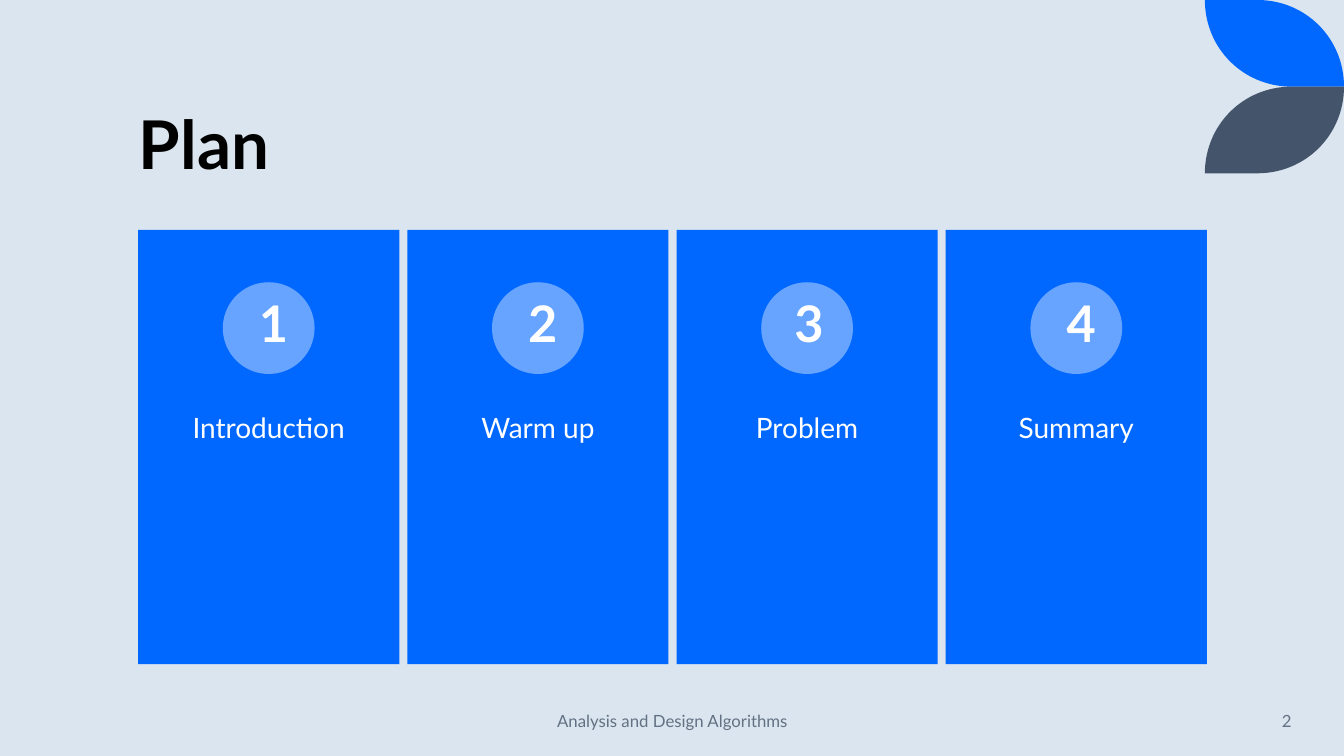
from dataclasses import dataclass

from pptx import Presentation
from pptx.dml.color import RGBColor
from pptx.enum import shapes, text
from pptx.oxml import xmlchemy
from pptx.util import Inches, Pt


@dataclass(frozen=True)
class Theme:
    font: str = "Lato"
    background: str = "DAE5EF"
    blue: str = "0068FF"
    light_blue: str = "66A4FF"
    slate: str = "44546A"
    black: str = "000000"
    white: str = "FFFFFF"
    muted: str = "637183"
    title_size: int = 48
    number_size: int = 36
    topic_size: int = 20
    footer_size: int = 12


THEME = Theme()
ALIGN = text.PP_ALIGN
ANCHOR = text.MSO_ANCHOR
CARD_TOP, CARD_WIDTH, CARD_HEIGHT = 2.28, 2.59, 4.31
FIRST_CARD_LEFT, CARD_PITCH = 1.37, 2.67
CIRCLE_SIZE = 0.91
# Topic and the left edge of its number
TOPICS = [("Introduction", 2.47), ("Warm up", 5.14), ("Problem", 7.78), ("Summary", 10.48)]


def paint(shape, color):
    shape.shadow.inherit = False
    shape.fill.solid()
    shape.fill.fore_color.rgb = RGBColor.from_string(color)
    shape.line.fill.background()


def add_solid(slide, kind, left, top, width, height, color):
    solid = slide.shapes.add_shape(
        kind, Inches(left), Inches(top), Inches(width), Inches(height))
    paint(solid, color)


def add_label(slide, words, box, size, color, align=ALIGN.LEFT, anchor=ANCHOR.TOP,
              bold=False, line_spacing=None, inset=None, grow=False):
    """Add one line of text; inset, when given, applies to all four sides."""
    label = slide.shapes.add_textbox(*(Inches(length) for length in box))
    frame = label.text_frame
    frame.word_wrap = True
    frame.vertical_anchor = anchor
    if grow:
        frame.auto_size = text.MSO_AUTO_SIZE.SHAPE_TO_FIT_TEXT
    if inset is not None:
        frame.margin_left = frame.margin_right = Inches(inset)
        frame.margin_top = frame.margin_bottom = Inches(inset)
    frame.text = words
    paragraph = frame.paragraphs[0]
    paragraph.alignment = align
    paragraph.line_spacing = line_spacing
    font = paragraph.runs[0].font
    font.name = THEME.font
    font.size = Pt(size)
    font.bold = bold
    font.color.rgb = RGBColor.from_string(color)


def bend(segments):
    """Turn three line segments of an outline into one Bézier curve."""
    curve = xmlchemy.OxmlElement("a:cubicBezTo")
    segments[0].addprevious(curve)
    for segment in segments:
        curve.append(segment[0])
        segment.getparent().remove(segment)


def add_leaf(slide, tip_y, direction, color):
    """Draw a leaf from its left tip; direction 1 opens downwards, -1 upwards."""
    outline = [
        (12.47, 0), (12.95, 0), (13.33, 0.38), (13.33, 0.86),
        (12.81, 0.86), (12.33, 0.86), (11.95, 0.48), (11.95, 0),
    ]
    points = [(Inches(x), Inches(tip_y + direction * y)) for x, y in outline]
    builder = slide.shapes.build_freeform(Inches(11.95), Inches(tip_y))
    builder.add_line_segments(points, close=True)
    leaf = builder.convert_to_shape()
    segments = leaf.element.xpath(".//a:lnTo")
    bend(segments[1:4])
    bend(segments[5:8])
    paint(leaf, color)


def add_card(slide, index, topic, number_left):
    left = FIRST_CARD_LEFT + index * CARD_PITCH
    circle_left = left + (CARD_WIDTH - CIRCLE_SIZE) / 2
    add_solid(slide, shapes.MSO_SHAPE.RECTANGLE, left, CARD_TOP, CARD_WIDTH, CARD_HEIGHT,
              THEME.blue)
    add_label(slide, topic, (left, 4, CARD_WIDTH, 1.72), THEME.topic_size, THEME.white,
              ALIGN.CENTER, line_spacing=0.9, inset=0.11)
    add_solid(slide, shapes.MSO_SHAPE.OVAL, circle_left, 2.8, CIRCLE_SIZE, CIRCLE_SIZE,
              THEME.light_blue)
    add_label(slide, str(index + 1), (number_left, 2.85, 0.38, 0.71), THEME.number_size,
              THEME.white, ALIGN.CENTER, bold=True, grow=True)


def add_footer(slide):
    add_label(slide, "Analysis and Design Algorithms", (4.42, 6.95, 4.5, 0.4),
              THEME.footer_size, THEME.muted, ALIGN.CENTER, ANCHOR.MIDDLE)
    add_label(slide, "2", (11.1, 6.95, 1.81, 0.4),
              THEME.footer_size, THEME.muted, ALIGN.RIGHT, ANCHOR.MIDDLE)


def main():
    deck = Presentation()
    deck.slide_width, deck.slide_height = Inches(13.33), Inches(7.5)
    slide = deck.slides.add_slide(deck.slide_layouts[6])
    slide.background.fill.solid()
    slide.background.fill.fore_color.rgb = RGBColor.from_string(THEME.background)

    add_leaf(slide, 0, 1, THEME.blue)
    add_leaf(slide, 1.72, -1, THEME.slate)
    add_label(slide, "Plan", (1.28, 0.42, 10.69, 1.45), THEME.title_size, THEME.black,
              anchor=ANCHOR.BOTTOM, bold=True, line_spacing=0.9)
    for index, (topic, number_left) in enumerate(TOPICS):
        add_card(slide, index, topic, number_left)
    add_footer(slide)
    deck.save("out.pptx")


if __name__ == "__main__":
    main()
